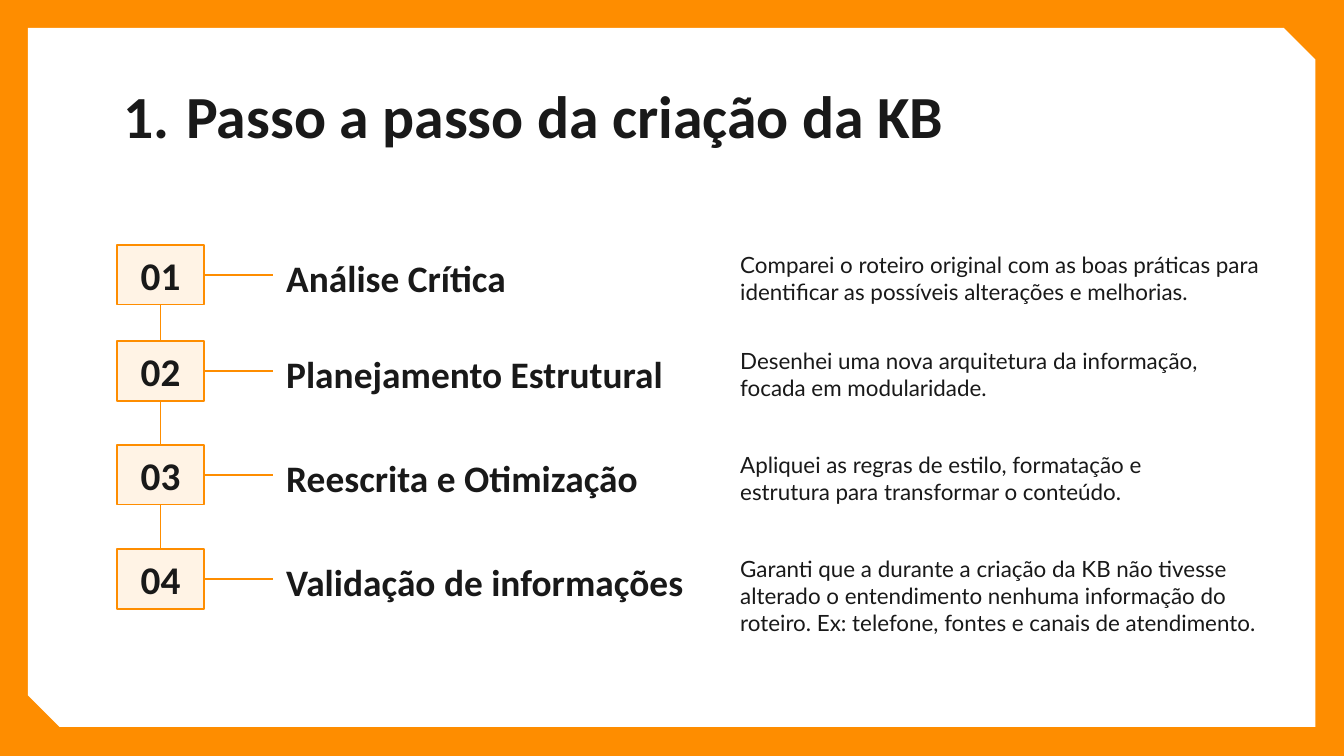
from lxml.etree import SubElement
from pptx import Presentation
from pptx.dml.color import RGBColor as RGB
from pptx.enum.shapes import MSO_CONNECTOR as Link, MSO_SHAPE as Shape
from pptx.enum.text import MSO_ANCHOR as Anchor, MSO_AUTO_SIZE as Fit, PP_ALIGN as Align
from pptx.oxml.ns import qn
from pptx.util import Cm, Pt

ORANGE = RGB(0xFE, 0x8D, 0x00)
CREAM = RGB(0xFF, 0xF3, 0xE5)
WHITE = RGB(0xFF, 0xFF, 0xFF)
INK = RGB(0x19, 0x19, 0x19)

# Box left edge, width and height, then the two text columns, in cm
BOX_X, BOX_W, BOX_H = 2.21, 1.65, 1.13
HEAD_X, HEAD_W = 5.16, 8.59
NOTE_X = 13.74
TEXT_H = 1.42

# Box top, heading, note, note width
STEPS = [
    (4.63, "Análise Crítica",
     "Comparei o roteiro original com as boas práticas para identificar "
     "as possíveis alterações e melhorias.", 10.69),
    (6.45, "Planejamento Estrutural",
     "Desenhei uma nova arquitetura da informação, focada em modularidade.", 9.65),
    (8.41, "Reescrita e Otimização",
     "Apliquei as regras de estilo, formatação e estrutura para "
     "transformar o conteúdo.", 9.65),
    (10.38, "Validação de informações",
     "Garanti que a durante a criação da KB não tivesse alterado o "
     "entendimento nenhuma informação do roteiro. Ex: telefone, fontes e "
     "canais de atendimento.", 10.49),
]


def write(shape, text, size, face="Calibri", bold=True, align=Align.LEFT, anchor=Anchor.TOP):
    frame = shape.text_frame
    frame.word_wrap = True
    frame.auto_size = Fit.NONE
    frame.vertical_anchor = anchor
    frame.margin_left = frame.margin_right = Cm(0.25)
    frame.margin_top = frame.margin_bottom = Cm(0.25)
    frame.text = text
    para = frame.paragraphs[0]
    para.alignment = align
    font = para.font
    font.name, font.size, font.bold = face, Pt(size), bold
    font.color.rgb = INK


def add_text(slide, x, y, wide, text, size, **style):
    box = slide.shapes.add_textbox(Cm(x), Cm(y), Cm(wide), Cm(TEXT_H))
    write(box, text, size, **style)


def add_shape(slide, kind, x, y, wide, high, fill):
    shape = slide.shapes.add_shape(kind, Cm(x), Cm(y), Cm(wide), Cm(high))
    shape.shadow.inherit = False
    shape.fill.solid()
    shape.fill.fore_color.rgb = fill
    shape.line.fill.background()
    return shape


def add_line(slide, x1, y1, x2, y2):
    line = slide.shapes.add_connector(Link.STRAIGHT, Cm(x1), Cm(y1), Cm(x2), Cm(y2))
    line.line.color.rgb = ORANGE
    line.line.width = Pt(0.75)
    SubElement(line._element.spPr, qn("a:effectLst"))


def add_panel(slide):
    panel = add_shape(slide, Shape.SNIP_2_DIAG_RECTANGLE, 0.53, 0.53, 24.33, 13.21, WHITE)
    panel.adjustments[0] = 0
    panel.adjustments[1] = 0.045
    # Behind the title placeholder
    slide.shapes._spTree.insert(2, panel._element)


def set_title(slide, text):
    title = slide.shapes.title
    title.left, title.top, title.width, title.height = Cm(2), Cm(1.24), Cm(21.39), Cm(1.6)
    write(title, text, 32)
    props = title.text_frame.paragraphs[0]._p.get_or_add_pPr()
    props.set("marL", str(Cm(1.27)))
    props.set("indent", str(Cm(-1.19)))
    # Bullet marks must come before the default run settings
    color = SubElement(props, qn("a:buClr"))
    SubElement(color, qn("a:srgbClr"), val=str(INK))
    number = SubElement(props, qn("a:buAutoNum"), type="arabicPeriod")
    props.insert(0, number)
    props.insert(0, color)


def add_step(slide, index, top, head, note, wide):
    text_y = top - 0.13
    add_text(slide, NOTE_X, text_y, wide, note, 12, face="Lato", bold=False)
    add_text(slide, HEAD_X, text_y, HEAD_W, head, 20, anchor=Anchor.BOTTOM)
    box = add_shape(slide, Shape.RECTANGLE, BOX_X, top, BOX_W, BOX_H, CREAM)
    box.line.color.rgb = ORANGE
    box.line.width = Pt(0.75)
    write(box, f"{index:02}", 21, align=Align.CENTER, anchor=Anchor.MIDDLE)
    mid = top + BOX_H / 2
    add_line(slide, BOX_X + BOX_W, mid, HEAD_X, mid)


def main():
    deck = Presentation()
    deck.slide_width, deck.slide_height = Cm(25.4), Cm(14.29)
    slide = deck.slides.add_slide(deck.slide_layouts[5])
    back = slide.background.fill
    back.solid()
    back.fore_color.rgb = ORANGE
    add_panel(slide)
    set_title(slide, "Passo a passo da criação da KB")
    for index, step in enumerate(STEPS, 1):
        add_step(slide, index, *step)
    center = BOX_X + BOX_W / 2
    for upper, lower in zip(STEPS, STEPS[1:]):
        add_line(slide, center, upper[0] + BOX_H, center, lower[0])
    deck.save("out.pptx")


if __name__ == "__main__":
    main()
